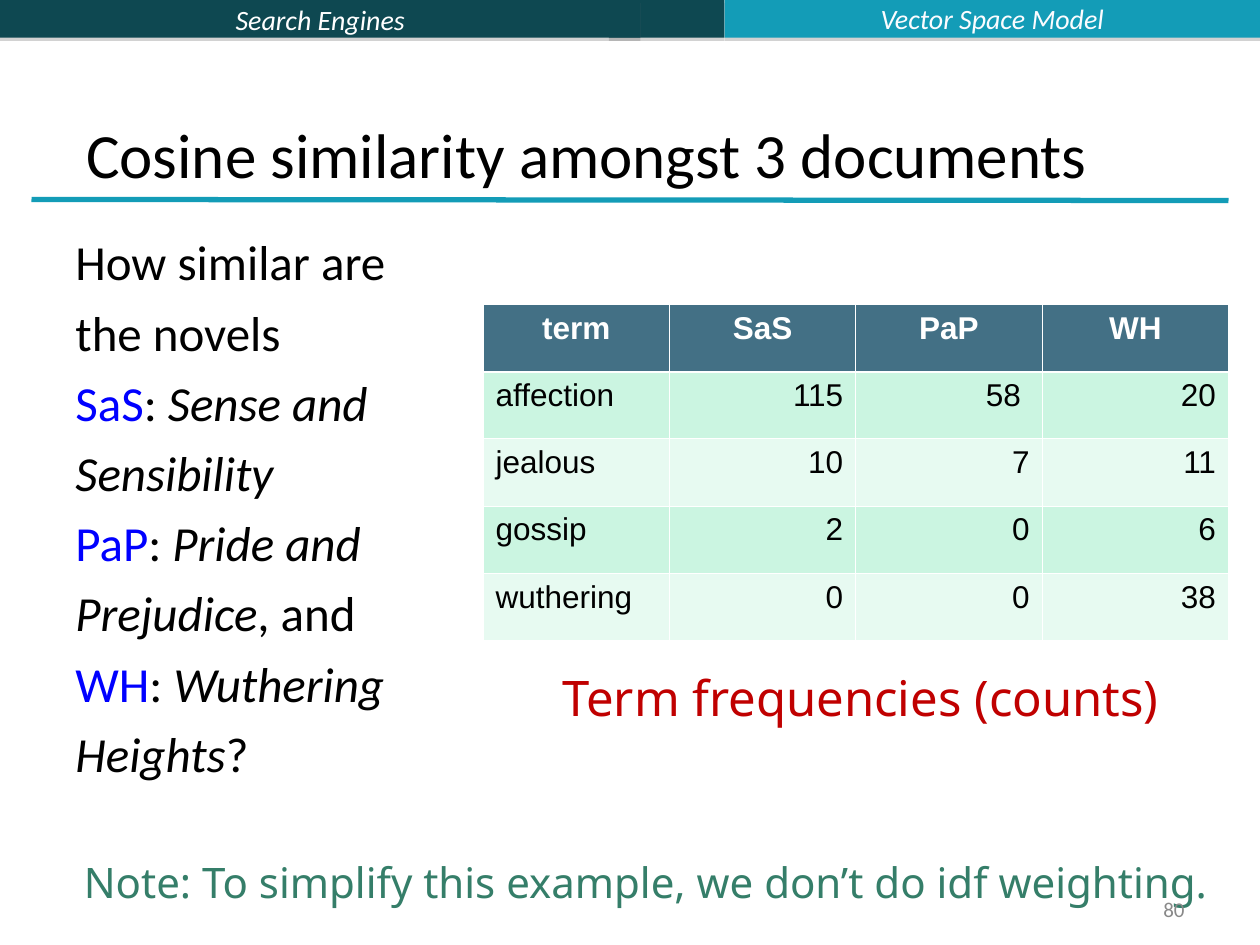
from lxml.etree import SubElement
from pptx import Presentation
from pptx.dml.color import RGBColor
from pptx.enum.shapes import MSO_CONNECTOR, MSO_SHAPE
from pptx.enum.text import MSO_ANCHOR, MSO_AUTO_SIZE, PP_ALIGN
from pptx.oxml import parse_xml
from pptx.oxml.ns import nsdecls, qn
from pptx.util import Inches, Pt

THEME = {
    "dark": "0E4851", "teal": "139CB7", "white": "FFFFFF", "black": "000000",
    "blue": "0000FF", "red": "C00000", "green": "357E69", "grey": "898989",
    "pale": "FBFCFF", "head": "437085", "bands": ("CBF5E1", "E7FAF1"),
    "heading_font": "Calibri", "table_font": "Arial", "note_font": "Noto Sans",
    "title": 36, "body": 28, "note": 24, "cell": 18, "banner": 16, "number": 12,
}

presentation = Presentation()
presentation.slide_width, presentation.slide_height = Inches(10), Inches(7.5)
COLUMN = presentation.slide_width / 120
ROW = presentation.slide_height / 90


def place(left, top, width, height):
    return [round(left * COLUMN), round(top * ROW),
            round(width * COLUMN), round(height * ROW)]


def write(paragraph, text, color, size, name, align=PP_ALIGN.LEFT, **extra):
    paragraph.alignment = align
    run = paragraph.add_run()
    run.text = text
    values = {"size": Pt(THEME[size]), "name": THEME[name], **extra}
    for attribute, value in values.items():
        setattr(run.font, attribute, value)
    run.font.color.rgb = RGBColor.from_string(THEME[color])


slide = presentation.slides.add_slide(presentation.slide_layouts[5])
shapes = slide.shapes

for left, width, color, label in [
    (58, 11, "dark", ""),
    (69, 51, "teal", ""),
    (0, 61, "dark", "Search Engines"),
]:
    banner = shapes.add_shape(MSO_SHAPE.RECTANGLE, *place(left, 0, width, 3.6))
    banner.fill.solid()
    banner.fill.fore_color.rgb = RGBColor.from_string(THEME[color])
    banner.line.fill.background()
    banner._element.spPr.append(parse_xml(
        f'<a:effectLst {nsdecls("a")}><a:outerShdw dist="{Pt(1.8)}" dir="5400000" '
        'rotWithShape="0"><a:srgbClr val="808080"><a:alpha val="35000"/>'
        "</a:srgbClr></a:outerShdw></a:effectLst>"))
    if label:
        banner.text_frame.vertical_anchor = MSO_ANCHOR.MIDDLE
        write(banner.text_frame.paragraphs[0], label, "white", "banner",
              "heading_font", PP_ALIGN.CENTER, italic=True)

start_x, start_y, run_x, run_y = place(3, 19, 114, 0.1)
rule = shapes.add_connector(MSO_CONNECTOR.STRAIGHT, start_x, start_y,
                            start_x + run_x, start_y + run_y)
rule.line.color.rgb = RGBColor.from_string(THEME["teal"])
rule.line.width = Pt(3)
SubElement(rule._element.spPr, qn("a:effectLst"))

title = shapes.title
title.left, title.top, title.width, title.height = place(7, 3.6, 113, 15.2)
title.text_frame.auto_size = MSO_AUTO_SIZE.NONE
title.text_frame.vertical_anchor = MSO_ANCHOR.BOTTOM
write(title.text_frame.paragraphs[0], "Cosine similarity amongst 3 documents",
      "black", "title", "heading_font")

TERMS = [
    ("term", "SaS", "PaP", "WH"),
    ("affection", "115", "58 ", "20"),
    ("jealous", "10", "7", "11"),
    ("gossip", "2", "0", "6"),
    ("wuthering", "0", "0", "38"),
]
table = shapes.add_table(len(TERMS), len(TERMS[0]), *place(46, 29, 71, 32)).table
for row, values in enumerate(TERMS):
    for column, value in enumerate(values):
        cell = table.cell(row, column)
        header = row == 0
        fill = THEME["head"] if header else THEME["bands"][(row - 1) % 2]
        align = (PP_ALIGN.CENTER if header
                 else PP_ALIGN.RIGHT if column else PP_ALIGN.LEFT)
        write(cell.text_frame.paragraphs[0], value, "white" if header else "black",
              "cell", "table_font", align, bold=header)
        properties = cell._tc.get_or_add_tcPr()
        for side in ("lnL", "lnR", "lnT", "lnB"):
            thick = (row, side) in [(0, "lnB"), (1, "lnT")]
            properties.append(parse_xml(
                f'<a:{side} {nsdecls("a")} w="{Pt(1.47 if thick else 0.45)}">'
                f'<a:solidFill><a:srgbClr val="{THEME["white"]}"/></a:solidFill>'
                f"</a:{side}>"))
        cell.fill.solid()
        cell.fill.fore_color.rgb = RGBColor.from_string(fill)

NOVELS = [
    [("How similar are", "black", False)],
    [("the novels", "black", False)],
    [("SaS", "blue", False), (": ", "black", False), ("Sense and", "black", True)],
    [("Sensibility", "black", True)],
    [("PaP", "blue", False), (": ", "black", False), ("Pride and", "black", True)],
    [("Prejudice", "black", True), (", and", "black", False)],
    [("WH", "blue", False), (": ", "black", False), ("Wuthering", "black", True)],
    [("Heights", "black", True), ("?", "black", False)],
]
novels = shapes.add_textbox(*place(6, 21.5, 39.5, 61.5)).text_frame
novels.word_wrap = True
for index, runs in enumerate(NOVELS):
    paragraph = novels.add_paragraph() if index else novels.paragraphs[0]
    paragraph.space_before = Pt(6.5 if index else 0)
    for text, color, italic in runs:
        write(paragraph, text, color, "body", "heading_font", italic=italic)

for text, box, wrap, anchor, style in [
    ("Term frequencies (counts)", (52.4, 63, 59.5, 6.9), False, MSO_ANCHOR.TOP,
     {"color": "red", "size": "body", "name": "note_font"}),
    ("Note: To simplify this example, we don’t do idf weighting.",
     (6.8, 81, 109.8, 6), False, MSO_ANCHOR.TOP,
     {"color": "green", "size": "note", "name": "note_font"}),
    ("Vector Space Model", (69, -0.5, 51, 4.4), True, MSO_ANCHOR.MIDDLE,
     {"color": "pale", "size": "banner", "name": "heading_font",
      "align": PP_ALIGN.CENTER, "italic": True}),
    ("80", (86, 85, 28, 3.2), True, MSO_ANCHOR.MIDDLE,
     {"color": "grey", "size": "number", "name": "heading_font",
      "align": PP_ALIGN.RIGHT}),
]:
    frame = shapes.add_textbox(*place(*box)).text_frame
    frame.word_wrap = wrap
    frame.vertical_anchor = anchor
    write(frame.paragraphs[0], text, **style)

presentation.save("out.pptx")
